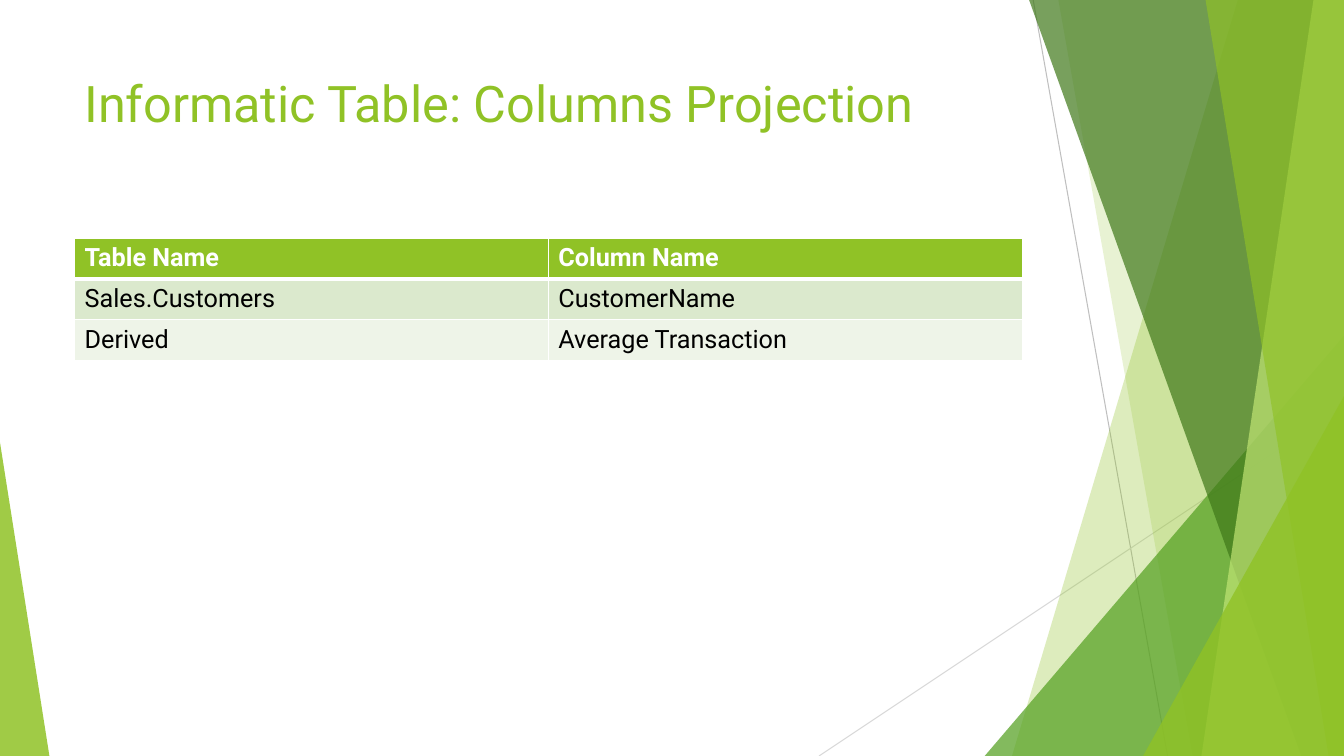
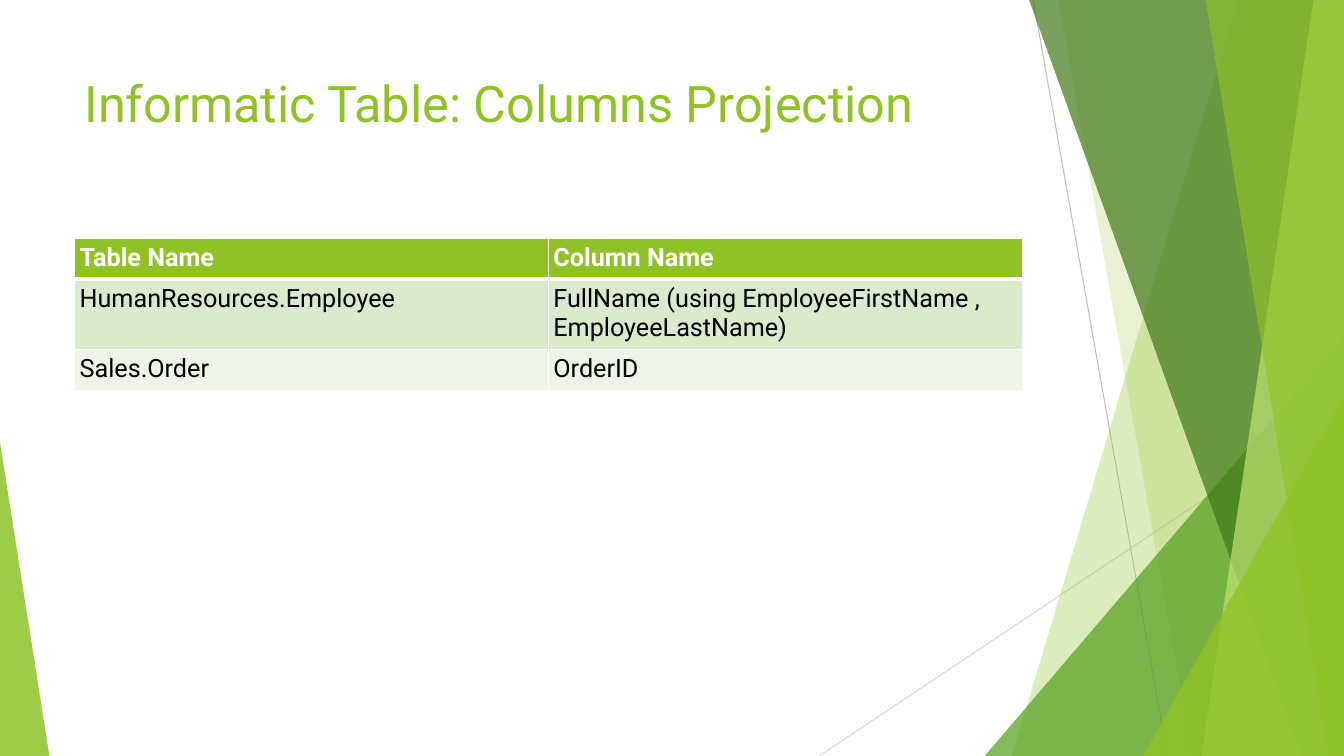
from lxml.etree import SubElement
from pptx import Presentation
from pptx.dml.color import RGBColor
from pptx.enum.shapes import MSO_CONNECTOR, MSO_SHAPE
from pptx.oxml.ns import qn
from pptx.util import Pt

WIDTH, HEIGHT = 960, 540
FONT = "Roboto"
GREEN, WHITE, BLACK = "90C226", "FFFFFF", "000000"
ROW_FILLS = ["DBE9CD", "EEF4E8"]
LEFT, CONTENT_WIDTH = 53.3, 676.8
TITLE_TOP, TITLE_HEIGHT = 48, 104
TABLE_TOP, ROW_HEIGHT = 170, 29.2

TITLE = "Informatic Table: Columns Projection"
HEADER = ("Table Name", "Column Name")
PAGES = [
    {
        "rows": [
            ("Sales.Customers", "CustomerName"),
            ("Derived", "Average Transaction"),
        ],
        "side_margin": 7.2,
    },
    {
        "rows": [
            ("HumanResources.Employee",
             "FullName (using EmployeeFirstName , EmployeeLastName)"),
            ("Sales.Order", "OrderID"),
        ],
        "side_margin": 3.6,
    },
]

HAIRLINES = [
    ((738, 0), (834, HEIGHT), "BFBFBF"),
    ((WIDTH, 290), (585, HEIGHT), "D9D9D9"),
]
FACETS = [
    ("band", 884.2, 722.9, GREEN, 30),
    ("band", 756, 851.8, GREEN, 20),
    ("right corner", 703.4, 239.8, "54A021", 72),
    ("band", 735.1, 929.5, "3F7819", 70),
    ("band", 938.2, 858.2, "C0E474", 70),
    ("band", 861.1, 949, GREEN, 65),
    ("right corner", 816.5, 283, GREEN, 80),
    ("left corner", 35.3, 316.1, GREEN, 85),
]


def color(value):
    return RGBColor.from_string(value)


def add_hairline(page, start, end, tint):
    line = page.shapes.add_connector(
        MSO_CONNECTOR.STRAIGHT, *map(Pt, start + end))
    line.line.color.rgb = color(tint)
    line.line.width = Pt(0.75)
    SubElement(line.element.spPr, qn("a:effectLst"))


def add_band(page, top_x, bottom_x):
    builder = page.shapes.build_freeform(Pt(top_x), Pt(0))
    corners = [(WIDTH, 0), (WIDTH, HEIGHT), (bottom_x, HEIGHT)]
    builder.add_line_segments([(Pt(x), Pt(y)) for x, y in corners])
    return builder.convert_to_shape()


def add_corner(page, left, right, top, apex):
    corner = page.shapes.add_shape(
        MSO_SHAPE.ISOSCELES_TRIANGLE,
        Pt(left), Pt(top), Pt(right - left), Pt(HEIGHT - top))
    corner.adjustments[0] = apex
    return corner


def add_facet(page, kind, first, second, tint, opacity):
    if kind == "band":
        facet = add_band(page, first, second)
    elif kind == "right corner":
        facet = add_corner(page, first, WIDTH, second, 1)
    else:
        facet = add_corner(page, 0, first, second, 0)
    facet.shadow.inherit = False
    facet.line.fill.background()
    facet.fill.solid()
    facet.fill.fore_color.rgb = color(tint)
    fill_color = facet.element.spPr.find(".//" + qn("a:srgbClr"))
    SubElement(fill_color, qn("a:alpha"), val=str(opacity * 1000))


def style_text(para, size, tint, bold=False):
    para.font.name = FONT
    para.font.size = Pt(size)
    para.font.bold = bold
    para.font.color.rgb = color(tint)


def add_title(page):
    box = page.shapes.add_textbox(
        Pt(LEFT), Pt(TITLE_TOP), Pt(CONTENT_WIDTH), Pt(TITLE_HEIGHT))
    box.text_frame.word_wrap = True
    para = box.text_frame.paragraphs[0]
    para.text = TITLE
    style_text(para, 36, GREEN)


def add_borders(cell, top, bottom):
    props = cell._tc.get_or_add_tcPr()
    for side, width in [("L", 1), ("R", 1), ("T", top), ("B", bottom)]:
        border = SubElement(props, qn("a:ln" + side), w=str(Pt(width)))
        fill = SubElement(border, qn("a:solidFill"))
        SubElement(fill, qn("a:srgbClr"), val=WHITE)


def add_column_table(page, rows, side_margin):
    content = [HEADER] + rows
    table = page.shapes.add_table(
        len(content), len(HEADER), Pt(LEFT), Pt(TABLE_TOP),
        Pt(CONTENT_WIDTH), Pt(ROW_HEIGHT * len(content))).table
    for row_index, texts in enumerate(content):
        is_header = row_index == 0
        fill = GREEN if is_header else ROW_FILLS[(row_index - 1) % 2]
        for column_index, text in enumerate(texts):
            cell = table.cell(row_index, column_index)
            cell.margin_left = cell.margin_right = Pt(side_margin)
            cell.margin_top = cell.margin_bottom = Pt(3.6)
            add_borders(cell, 3 if row_index == 1 else 1,
                        3 if is_header else 1)
            cell.fill.solid()
            cell.fill.fore_color.rgb = color(fill)
            cell.text = text
            style_text(cell.text_frame.paragraphs[0], 18,
                       WHITE if is_header else BLACK, is_header)


def main():
    deck = Presentation()
    deck.slide_width, deck.slide_height = Pt(WIDTH), Pt(HEIGHT)
    for content in PAGES:
        page = deck.slides.add_slide(deck.slide_layouts[6])
        for hairline in HAIRLINES:
            add_hairline(page, *hairline)
        for facet in FACETS:
            add_facet(page, *facet)
        add_title(page)
        add_column_table(page, content["rows"], content["side_margin"])
    deck.save("out.pptx")


if __name__ == "__main__":
    main()
